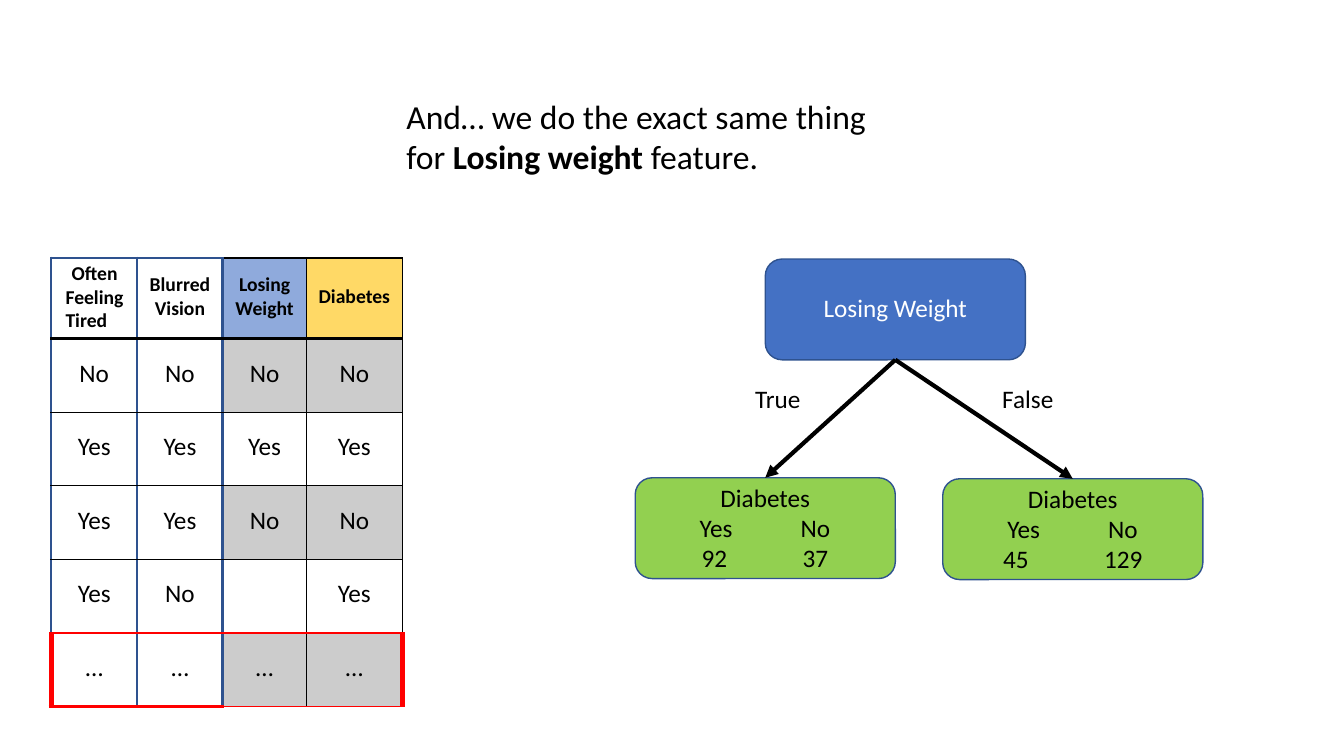
from dataclasses import dataclass

import pptx
import pptx.dml.color
import pptx.enum.shapes
import pptx.enum.text
import pptx.oxml
import pptx.oxml.ns
import pptx.util
from pptx.util import Inches

ALIGN = pptx.enum.text.PP_ALIGN
ANCHOR = pptx.enum.text.MSO_ANCHOR
SHAPES = pptx.enum.shapes.MSO_SHAPE


@dataclass(frozen=True)
class Theme:
    font: str = "Calibri"
    title_size: int = 24
    body_size: int = 18
    header_size: int = 14
    black: str = "000000"
    white: str = "FFFFFF"
    blue: str = "4471C4"
    outline: str = "2E528F"
    green: str = "92D050"
    feature: str = "8FAADC"
    target: str = "FFD966"
    shade: str = "CCCCCC"
    red: str = "FF0000"


THEME = Theme()

HEADERS = ["Often Feeling Tired", "Blurred Vision", "Losing Weight", "Diabetes"]
ROWS = [
    ["No", "No", "No", "No"],
    ["Yes", "Yes", "Yes", "Yes"],
    ["Yes", "Yes", "No", "No"],
    ["Yes", "No", "", "Yes"],
    ["…", "…", "…", "…"],
]
COLUMN_WIDTHS = [0.85, 0.85, 0.83, 0.95]
HEADER_FILLS = [THEME.white, THEME.white, THEME.feature, THEME.target]


def rgb(color):
    return pptx.dml.color.RGBColor.from_string(color)


def style_paragraph(paragraph, size, color=THEME.black, align=ALIGN.LEFT, bold=False):
    paragraph.alignment = align
    font = paragraph.font
    font.name, font.size, font.bold = THEME.font, pptx.util.Pt(size), bold
    font.color.rgb = rgb(color)


def clear_margins(frame):
    frame.margin_left = frame.margin_right = 0
    frame.margin_top = frame.margin_bottom = 0


def indent(paragraph, left, first=0):
    properties = paragraph._p.get_or_add_pPr()
    properties.set("marL", str(Inches(left)))
    properties.set("indent", str(Inches(first)))


def add_title(slide):
    title = slide.shapes.title
    title.left, title.top = Inches(4.03), Inches(0.95)
    title.width, title.height = Inches(4.6), Inches(0.83)
    frame = title.text_frame
    clear_margins(frame)
    frame.auto_size = pptx.enum.text.MSO_AUTO_SIZE.NONE
    frame.vertical_anchor = ANCHOR.TOP
    frame.text = "And… we do the exact same thing"
    second = frame.add_paragraph()
    for text, bold in [("for ", False), ("Losing weight", True), (" feature.", False)]:
        run = second.add_run()
        run.text = text
        if bold:
            run.font.bold = True
    for paragraph in frame.paragraphs:
        style_paragraph(paragraph, THEME.title_size)


def add_label(slide, left, top, width, lines):
    """Add a text box; lines holds (text, left indent) pairs."""
    box = slide.shapes.add_textbox(
        Inches(left), Inches(top), Inches(width), Inches(0.31 * len(lines)))
    frame = box.text_frame
    frame.word_wrap = True
    clear_margins(frame)
    for index, (text, offset) in enumerate(lines):
        paragraph = frame.add_paragraph() if index else frame.paragraphs[0]
        paragraph.text = text
        indent(paragraph, offset)
        style_paragraph(paragraph, THEME.body_size)


def add_node(slide, left, top, text, fill, color, anchor):
    node = slide.shapes.add_shape(
        SHAPES.ROUNDED_RECTANGLE, Inches(left), Inches(top), Inches(2.58), Inches(1))
    node.shadow.inherit = False
    node.fill.solid()
    node.fill.fore_color.rgb = rgb(fill)
    node.line.color.rgb = rgb(THEME.outline)
    node.line.width = pptx.util.Pt(1)
    frame = node.text_frame
    clear_margins(frame)
    frame.margin_bottom = Inches(0.04)
    frame.vertical_anchor = anchor
    frame.text = text
    style_paragraph(frame.paragraphs[0], THEME.body_size, color, ALIGN.CENTER)
    return node


def add_leaf(slide, left, top, counts, label_indent, value_indent):
    leaf = add_node(slide, left, top, "Diabetes", THEME.green, THEME.black, ANCHOR.TOP)
    for index, (label, count) in enumerate(zip(("Yes", "No"), counts)):
        add_label(slide, left + 0.6 + index, top + 0.34, 0.55,
                  [(label, label_indent), (count, value_indent)])
    return leaf


def add_arrow(slide, start, end):
    arrow = slide.shapes.add_connector(
        pptx.enum.shapes.MSO_CONNECTOR.STRAIGHT, Inches(0), Inches(0), Inches(0), Inches(0))
    arrow.begin_connect(start, 2)
    arrow.end_connect(end, 0)
    arrow.line.color.rgb = rgb(THEME.black)
    arrow.line.width = pptx.util.Pt(3)
    namespace = pptx.oxml.ns.nsdecls("a")
    arrow.line._get_or_add_ln().append(
        pptx.oxml.parse_xml(f'<a:tailEnd {namespace} type="triangle"/>'))
    arrow._element.spPr.append(pptx.oxml.parse_xml(f"<a:effectLst {namespace}/>"))


def add_column_veil(slide):
    """Add the translucent white panels behind the first two table columns."""
    top, bottom = Inches(2.58), Inches(7.02)
    builder = None
    for left, right in [(Inches(0.55), Inches(1.39)), (Inches(1.4), Inches(2.23))]:
        if builder is None:
            builder = slide.shapes.build_freeform(left, top)
        else:
            builder.move_to(left, top)
        builder.add_line_segments([(right, top), (right, bottom), (left, bottom)], close=True)
    veil = builder.convert_to_shape()
    veil.shadow.inherit = False
    veil.line.fill.background()
    veil.fill.solid()
    veil.fill.fore_color.rgb = rgb(THEME.white)
    color = veil._element.spPr.find(".//" + pptx.oxml.ns.qn("a:srgbClr"))
    color.append(pptx.oxml.parse_xml(
        f'<a:alpha {pptx.oxml.ns.nsdecls("a")} val="79000"/>'))


# Table borders, by grid line
def vertical_border(row, line):
    if row == len(ROWS) and line in (0, 4):
        return THEME.red, 4.5
    return [(THEME.outline, 1.5), (THEME.outline, 2.25), (THEME.outline, 2.25),
            (THEME.black, 1), (THEME.black, 1)][line]


def horizontal_border(line, column):
    plain = column > 1
    if line == 0:
        return (THEME.black, 1) if plain else (THEME.outline, 2.25)
    if line == 1:
        return THEME.black, 2.25
    if line == len(ROWS) + 1:
        return THEME.red, 1 if plain else 2.25
    return (THEME.red if line == len(ROWS) else THEME.black), 1


def set_borders(cell, row, column):
    borders = {
        "lnL": vertical_border(row, column),
        "lnR": vertical_border(row, column + 1),
        "lnT": horizontal_border(row, column),
        "lnB": horizontal_border(row + 1, column),
    }
    properties = cell._tc.get_or_add_tcPr()
    for tag, (color, width) in borders.items():
        properties.append(pptx.oxml.parse_xml(
            f'<a:{tag} {pptx.oxml.ns.nsdecls("a")} w="{pptx.util.Pt(width)}">'
            f'<a:solidFill><a:srgbClr val="{color}"/></a:solidFill></a:{tag}>'))


def add_patient_table(slide):
    table = slide.shapes.add_table(
        len(ROWS) + 1, len(HEADERS), Inches(0.51), Inches(2.56),
        Inches(sum(COLUMN_WIDTHS)), Inches(4.45)).table
    table.first_row = table.horz_banding = False
    for column, width in zip(table.columns, COLUMN_WIDTHS):
        column.width = Inches(width)
    for index, row in enumerate(table.rows):
        row.height = Inches(0.73 if index else 0.8)
    for row, texts in enumerate([HEADERS] + ROWS):
        for column, text in enumerate(texts):
            cell = table.cell(row, column)
            first = row == column == 0
            set_borders(cell, row, column)
            shaded = row % 2 == 1 and column > 1
            fill = THEME.shade if shaded else THEME.white
            cell.fill.solid()
            cell.fill.fore_color.rgb = rgb(fill if row else HEADER_FILLS[column])
            clear_margins(cell)
            cell.margin_bottom = Inches(0.02 if first else 0.04)
            cell.vertical_anchor = ANCHOR.MIDDLE
            cell.text = text
            paragraph = cell.text_frame.paragraphs[0]
            if first:
                indent(paragraph, 0.14, 0.06)
            style_paragraph(paragraph, THEME.body_size if row else THEME.header_size,
                            align=ALIGN.LEFT if first else ALIGN.CENTER, bold=row == 0)


def main():
    presentation = pptx.Presentation()
    presentation.slide_width, presentation.slide_height = Inches(13.33), Inches(7.5)
    slide = presentation.slides.add_slide(presentation.slide_layouts[5])
    add_title(slide)

    # Decision tree
    root = add_node(slide, 7.59, 2.57, "Losing Weight", THEME.blue, THEME.white, ANCHOR.MIDDLE)
    true_leaf = add_leaf(slide, 6.3, 4.74, ("92", "37"), 0.04, 0.06)
    false_leaf = add_leaf(slide, 9.35, 4.75, ("45", "129"), 0.04, 0)
    for leaf in (true_leaf, false_leaf):
        add_arrow(slide, root, leaf)
    add_label(slide, 7.49, 3.8, 0.55, [("True", 0)])
    add_label(slide, 9.94, 3.8, 0.6, [("False", 0)])

    # Patient records
    add_column_veil(slide)
    add_patient_table(slide)
    presentation.save("out.pptx")


if __name__ == "__main__":
    main()
